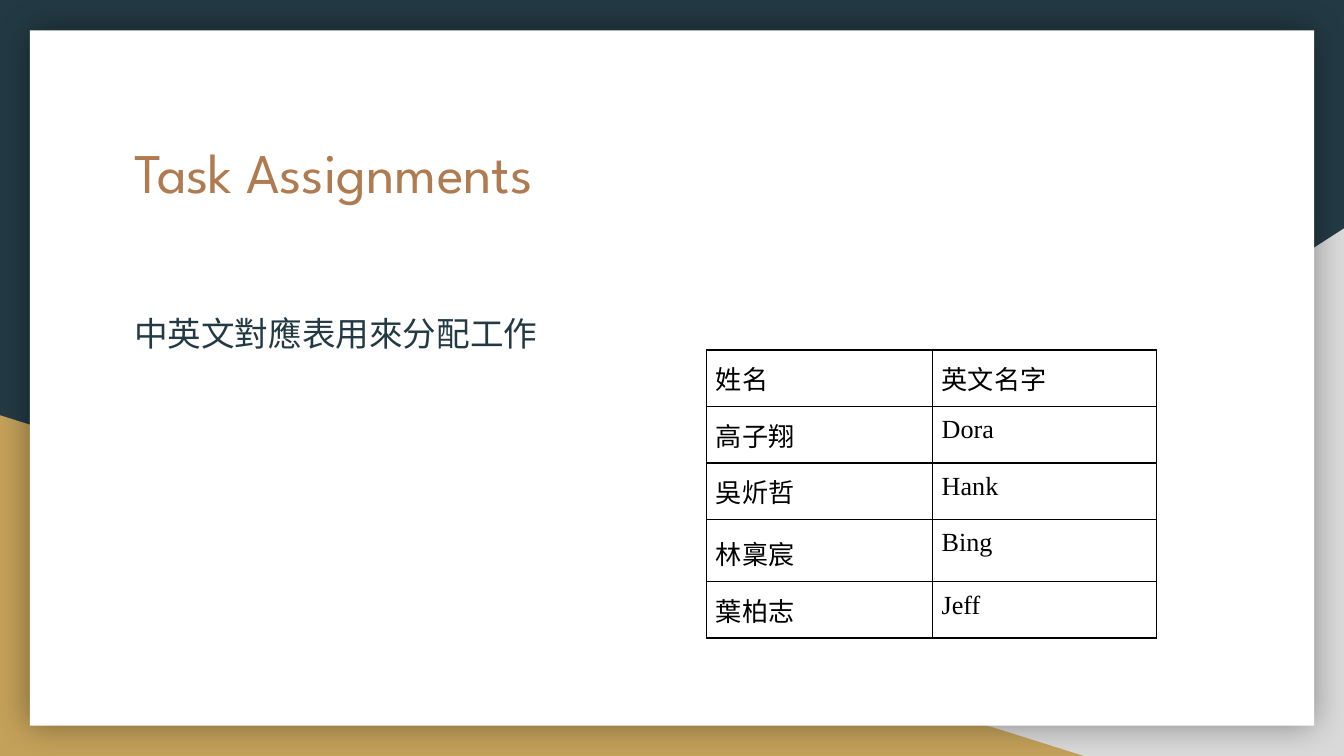
"""Build the task assignments slide with its name table."""
import dataclasses

import lxml.etree
import pptx
import pptx.dml.color
import pptx.enum.shapes
import pptx.enum.text
import pptx.oxml.ns
import pptx.util

Pt = pptx.util.Pt
qn = pptx.oxml.ns.qn


@dataclasses.dataclass(frozen=True)
class Theme:
    navy: str = "233A44"
    grey: str = "D9D9D9"
    gold: str = "C4A15A"
    paper: str = "FFFFFF"
    copper: str = "AF7B51"
    ink: str = "000000"
    title_size: float = 30
    body_size: float = 18
    table_size: float = 14
    title_font: str = "League Spartan"
    body_font: str = "Calibri"
    table_font: str = "Times New Roman"
    box_inset: float = 7.2
    cell_inset: float = 5
    border: float = 1


def rgb(colour):
    return pptx.dml.color.RGBColor.from_string(colour)


def add_xml(parent, tag, **attributes):
    return lxml.etree.SubElement(parent, qn(tag), attributes)


class SlideBuilder:
    def __init__(self, slide, theme):
        self.slide = slide
        self.theme = theme

    def background(self, colour):
        fill = self.slide.background.fill
        fill.solid()
        fill.fore_color.rgb = rgb(colour)

    def panel(self, preset, bounds, colour, flipped=False, shadowed=False):
        panel = self.slide.shapes.add_shape(preset, *map(Pt, bounds))
        panel.fill.solid()
        panel.fill.fore_color.rgb = rgb(colour)
        panel.line.fill.background()
        panel.shadow.inherit = False
        properties = panel._element.spPr
        if flipped:
            properties.get_or_add_xfrm().set("flipH", "1")
        if shadowed:
            shadow = add_xml(properties.find(qn("a:effectLst")), "a:outerShdw",
                             blurRad=str(Pt(18)), dist="0", dir="0",
                             algn="ctr", rotWithShape="0")
            tint = add_xml(shadow, "a:srgbClr", val=self.theme.ink)
            add_xml(tint, "a:alpha", val="40000")

    def fill_text(self, frame, words, font, size, colour, spacing=None):
        frame.text = words
        paragraph = frame.paragraphs[0]
        if spacing:
            paragraph.line_spacing = spacing
        for run in paragraph.runs:
            run.font.name = font
            run.font.size = Pt(size)
            run.font.color.rgb = rgb(colour)

    def text(self, bounds, words, font, size, colour, spacing=None):
        frame = self.slide.shapes.add_textbox(*map(Pt, bounds)).text_frame
        frame.word_wrap = True
        frame.vertical_anchor = pptx.enum.text.MSO_ANCHOR.TOP
        frame.margin_left = frame.margin_right = Pt(self.theme.box_inset)
        frame.margin_top = frame.margin_bottom = Pt(self.theme.box_inset)
        self.fill_text(frame, words, font, size, colour, spacing)

    def outline(self, cell):
        properties = cell._tc.get_or_add_tcPr()
        for position, side in enumerate(("a:lnL", "a:lnR", "a:lnT", "a:lnB")):
            edge = lxml.etree.Element(qn(side), w=str(Pt(self.theme.border)))
            add_xml(add_xml(edge, "a:solidFill"), "a:srgbClr", val=self.theme.ink)
            properties.insert(position, edge)

    def table(self, left, top, widths, heights, entries, loose_names):
        bounds = (left, top, sum(widths), sum(heights))
        table = self.slide.shapes.add_table(
            len(heights), len(widths), *map(Pt, bounds)).table
        table.first_row = table.horz_banding = False
        for column, width in zip(table.columns, widths):
            column.width = Pt(width)
        for row, height, names in zip(table.rows, heights, entries):
            row.height = Pt(height)
            for cell, name in zip(row.cells, names):
                cell.margin_left = cell.margin_right = Pt(self.theme.cell_inset)
                cell.margin_top = cell.margin_bottom = Pt(self.theme.cell_inset)
                cell.fill.background()
                self.outline(cell)
                self.fill_text(cell.text_frame, name, self.theme.table_font,
                               self.theme.table_size, self.theme.ink,
                               1.15 if name in loose_names else None)


def main():
    theme = Theme()
    deck = pptx.Presentation()
    deck.slide_width, deck.slide_height = Pt(720), Pt(405)
    builder = SlideBuilder(deck.slides.add_slide(deck.slide_layouts[6]), theme)
    presets = pptx.enum.shapes.MSO_SHAPE

    builder.background(theme.navy)
    builder.panel(presets.RIGHT_TRIANGLE, (282.25, 122.4, 437.75, 282.6),
                  theme.grey, flipped=True)
    builder.panel(presets.RIGHT_TRIANGLE, (0, 222.5, 580.5, 182.5), theme.gold)
    builder.panel(presets.RECTANGLE, (16, 16.25, 688, 372.5), theme.paper,
                  shadowed=True)

    builder.text((64.75, 66.25, 591, 75), "Task Assignments",
                 theme.title_font, theme.title_size, theme.copper)
    builder.text((64.75, 157, 591, 193), "中英文對應表用來分配工作",
                 theme.body_font, theme.body_size, theme.navy, spacing=1.15)

    assignments = [
        ("姓名", "英文名字"),
        ("高子翔", "Dora"),
        ("吳炘哲", "Hank"),
        ("林稟宸", "Bing"),
        ("葉柏志", "Jeff"),
    ]
    builder.table(378.5, 187.4, (121, 120), (30.3, 30.3, 30.3, 33.4, 30.3),
                  assignments, loose_names={"林稟宸"})
    deck.save("out.pptx")


if __name__ == "__main__":
    main()
